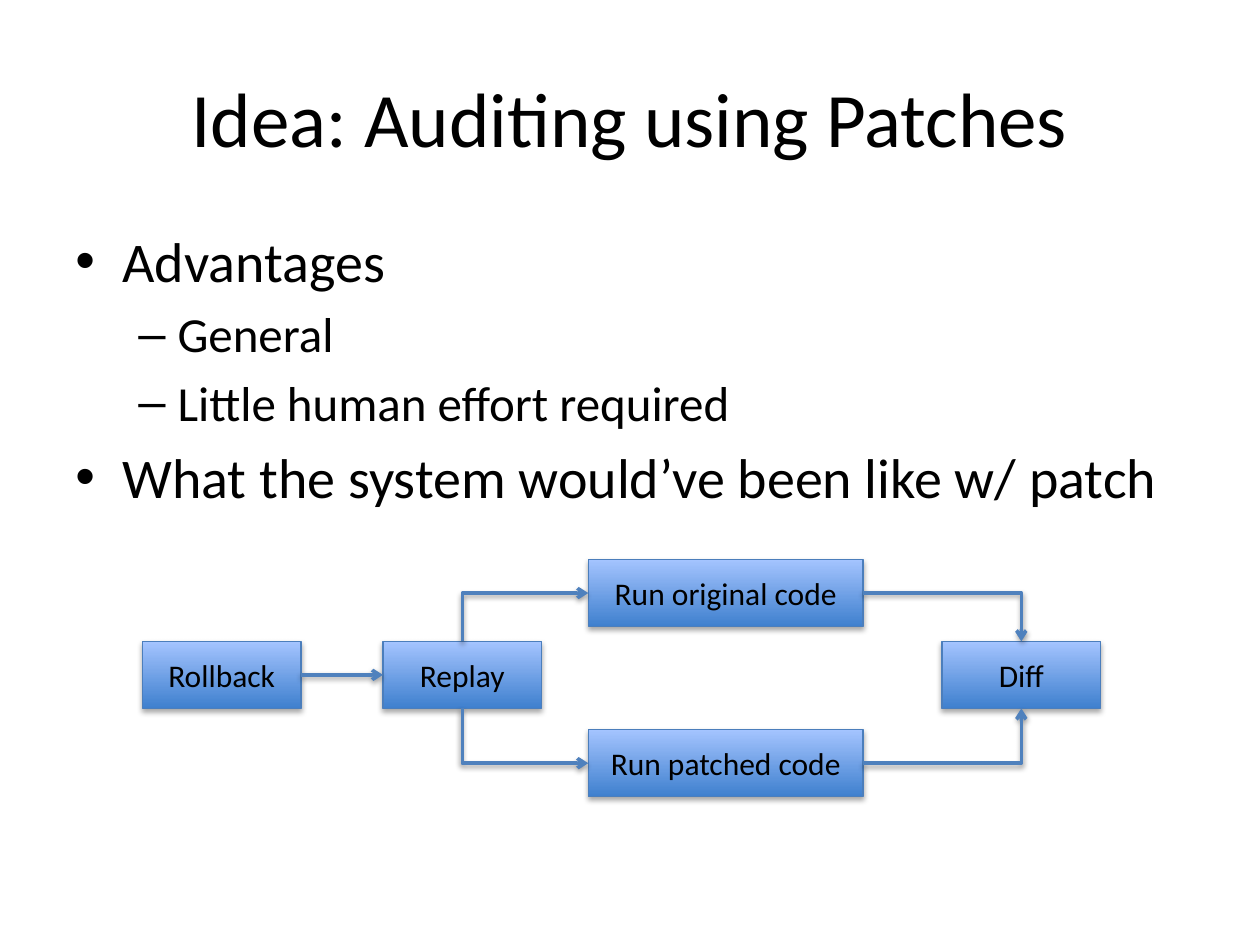
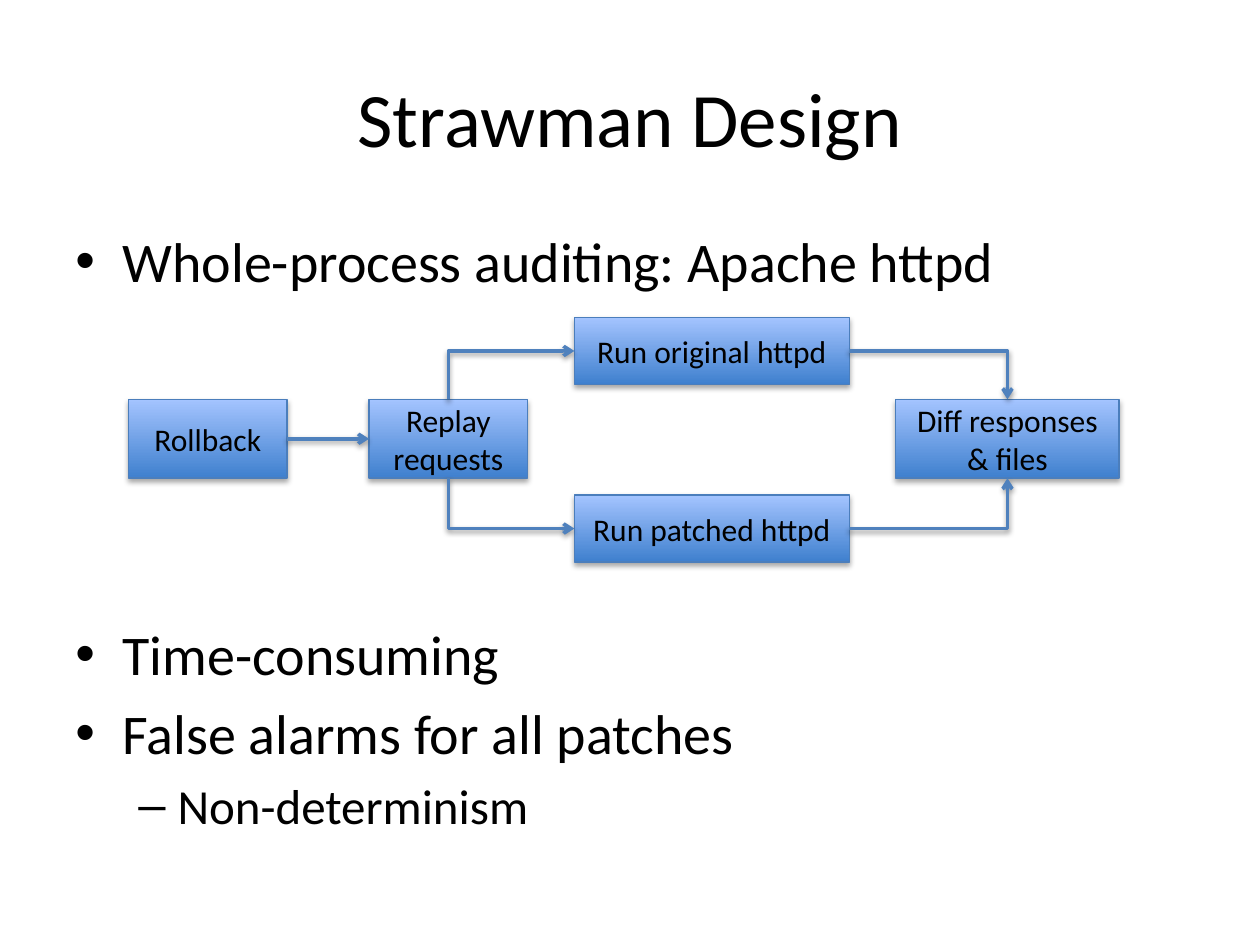
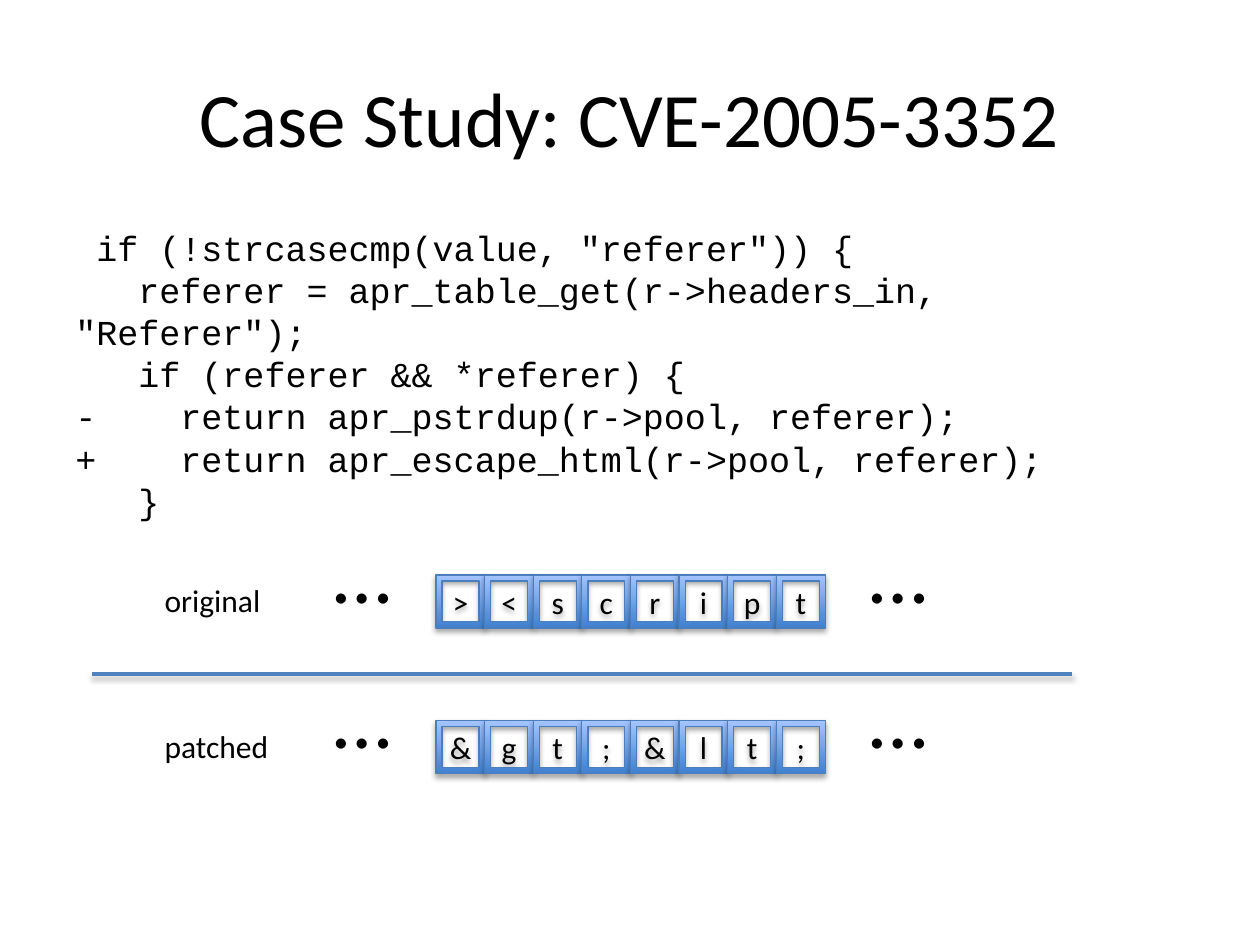
from lxml import etree
from pptx import Presentation
from pptx.dml.color import RGBColor
from pptx.enum import shapes, text
from pptx.oxml.ns import qn
from pptx.util import Cm, Pt

BLACK = RGBColor(0, 0, 0)
DEEP = RGBColor(0x3F, 0x80, 0xCE)
PALE = RGBColor(0xA4, 0xC4, 0xFF)
EDGE = RGBColor(0x4B, 0x7E, 0xBC)
WIRE = RGBColor(0x4F, 0x81, 0xBD)
SANS = "Calibri"
MONO = "Courier New"
RECT = shapes.MSO_SHAPE.RECTANGLE
FRAME = shapes.MSO_SHAPE.FRAME
LINE = shapes.MSO_CONNECTOR.STRAIGHT
ELBOW = shapes.MSO_CONNECTOR.ELBOW
BODY = (1.27, 4.45, 22.86)
LEVELS = [("•", 32, 0.95, -0.95), ("–", 28, 2.06, -0.79)]


def add_tag(parent, name, **attrs):
    tag = etree.SubElement(parent, qn(name))
    for key, value in attrs.items():
        tag.set(key, str(value))
    return tag


def set_font(para, size, face=SANS):
    para.font.size = Pt(size)
    para.font.name = face
    para.font.color.rgb = BLACK


def cast_shade(effects, dist, alpha):
    shade = add_tag(effects, "a:outerShdw", blurRad=40000, dist=dist,
                    dir=5400000, rotWithShape=0)
    color = add_tag(shade, "a:srgbClr", val="000000")
    add_tag(color, "a:alpha", val=alpha * 1000)


def add_page(deck, title):
    slide = deck.slides.add_slide(deck.slide_layouts[5])
    head = slide.shapes.title
    head.left, head.top, head.width, head.height = Cm(1.27), Cm(0.76), Cm(22.86), Cm(3.18)
    head.text_frame.text = title
    head.text_frame.vertical_anchor = text.MSO_ANCHOR.MIDDLE
    para = head.text_frame.paragraphs[0]
    para.alignment = text.PP_ALIGN.CENTER
    set_font(para, 44)
    return slide


def add_text(slide, box, lines, wrap=True):
    frame = slide.shapes.add_textbox(*map(Cm, box)).text_frame
    frame.word_wrap = wrap
    frame.text = "\n".join(lines)
    return frame.paragraphs


def add_list(slide, height, items):
    paras = add_text(slide, (*BODY, height), [item[0] for item in items])
    for index, (para, (_, level, gap)) in enumerate(zip(paras, items)):
        mark, size, left, indent = LEVELS[level]
        para.level = level
        props = para._p.get_or_add_pPr()
        props.set("marL", str(Cm(left)))
        props.set("indent", str(Cm(indent)))
        add_tag(props, "a:buFont", typeface="Arial")
        add_tag(props, "a:buChar", char=mark)
        if index:
            para.space_before = Pt(gap or size * 0.2)
        set_font(para, size)


def add_block(slide, kind, box, label):
    block = slide.shapes.add_shape(kind, *map(Cm, box))
    block.fill.gradient()
    block.fill.gradient_angle = 90
    for stop, color in zip(block.fill.gradient_stops, (DEEP, PALE)):
        stop.color.rgb = color
    block.line.color.rgb = EDGE
    block.line.width = Pt(0.75)
    block.shadow.inherit = False
    cast_shade(block._element.spPr.find(qn("a:effectLst")), 23000, 35)
    frame = block.text_frame
    frame.word_wrap = True
    frame.vertical_anchor = text.MSO_ANCHOR.MIDDLE
    frame.text = label
    para = frame.paragraphs[0]
    para.alignment = text.PP_ALIGN.CENTER
    set_font(para, 18)
    return frame


def add_wire(slide, kind, ends, arrow=True):
    wire = slide.shapes.add_connector(kind, *map(Cm, ends))
    wire.line.color.rgb = WIRE
    wire.line.width = Pt(2)
    if arrow:
        add_tag(wire.line._get_or_add_ln(), "a:tailEnd", type="arrow")
    props = wire._element.spPr
    cast_shade(add_tag(props, "a:effectLst"), 20000, 38)
    if kind == ELBOW:
        props.find(qn("a:prstGeom")).set("prst", "bentConnector2")
    return props


def add_climb(slide, x, y, end_x, end_y):
    mid_x, mid_y = (x + end_x) / 2, (y + end_y) / 2
    wide, high = abs(end_y - y) / 2, (end_x - x) / 2
    up = end_y < y
    drop = high if up else -high
    props = add_wire(slide, ELBOW, (mid_x + wide, mid_y + drop, mid_x - wide, mid_y - drop))
    props.find(qn("a:xfrm")).set("rot", str((90 if up else 270) * 60000))


def add_flow(slide, left, top, height, mid_high, diff_wide, labels):
    roll, replay, first, second, diff = labels
    step_wide, run_wide, run_high = 3.2, 5.54, 1.35
    mid_top = top + 1.65
    mid_y, mid_end = mid_top + mid_high / 2, mid_top + mid_high
    replay_x, run_x, diff_x = left + 4.85, left + 8.99, left + 17.72
    turn_x = replay_x + step_wide / 2

    add_block(slide, RECT, (left, mid_top, step_wide, mid_high), roll)
    add_block(slide, RECT, (replay_x, mid_top, step_wide, mid_high), replay)
    add_block(slide, RECT, (diff_x - diff_wide / 2, mid_top, diff_wide, mid_high), diff)
    add_wire(slide, LINE, (left + step_wide, mid_y, replay_x, mid_y))
    for label, run_top, edge in ((first, top, mid_top),
                                 (second, top + height - run_high, mid_end)):
        run_y = run_top + run_high / 2
        add_block(slide, RECT, (run_x, run_top, run_wide, run_high), label)
        add_climb(slide, turn_x, edge, run_x, run_y)
        add_wire(slide, ELBOW, (run_x + run_wide, run_y, diff_x, edge))


def add_bytes(slide, left, top, label, chars):
    cell_top = top + 1.25
    name = add_text(slide, (left, cell_top, 2.6, 1.02), [label], False)
    set_font(name[0], 18)
    for shift in (3.4, 14.2):
        dots = add_text(slide, (left + shift, top, 1.7, 2.31), ["…"], False)
        set_font(dots[0], 48)
    for index, char in enumerate(chars):
        cell = (left + 5.72 + index * 0.98, cell_top, 0.99, 1.07)
        frame = add_block(slide, FRAME, cell, char)
        frame.margin_left = frame.margin_right = 0
        frame.margin_top = frame.margin_bottom = 0


def add_idea(deck):
    slide = add_page(deck, "Idea: Auditing using Patches")
    add_list(slide, 6.1, [
        ("Advantages", 0, None),
        ("General", 1, None),
        ("Little human effort required", 1, None),
        ("What the system would’ve been like w/ patch", 0, None),
    ])
    add_flow(slide, 2.87, 11.28, 4.78, 1.35, 3.2,
             ["Rollback", "Replay", "Run original code", "Run patched code", "Diff"])


def add_design(deck):
    slide = add_page(deck, "Strawman Design")
    add_list(slide, 12.57, [
        ("Whole-process auditing: Apache httpd", 0, None),
        ("Time-consuming", 0, 186),
        ("False alarms for all patches", 0, None),
        ("Non-determinism", 1, None),
    ])
    add_flow(slide, 2.59, 6.4, 4.93, 1.59, 4.5,
             ["Rollback", "Replay requests", "Run original httpd",
              "Run patched httpd", "Diff responses & files"])


def add_case(deck):
    slide = add_page(deck, "Case Study: CVE-2005-3352")
    code = add_text(slide, (*BODY, 5.89), [
        ' if (!strcasecmp(value, "referer")) {',
        '   referer = apr_table_get(r->headers_in, "Referer");',
        "   if (referer && *referer) {",
        "-    return apr_pstrdup(r->pool, referer);",
        "+    return apr_escape_html(r->pool, referer);",
        "   }",
    ])
    for para in code:
        set_font(para, 20, MONO)
    add_bytes(slide, 3.07, 10.34, "original", "><script")
    add_wire(slide, LINE, (1.85, 13.59, 21.62, 13.59), False)
    add_bytes(slide, 3.07, 13.28, "patched", "&gt;&lt;")


def main():
    deck = Presentation()
    deck.slide_width, deck.slide_height = Cm(25.4), Cm(19.05)
    add_idea(deck)
    add_design(deck)
    add_case(deck)
    deck.save("out.pptx")


if __name__ == "__main__":
    main()
